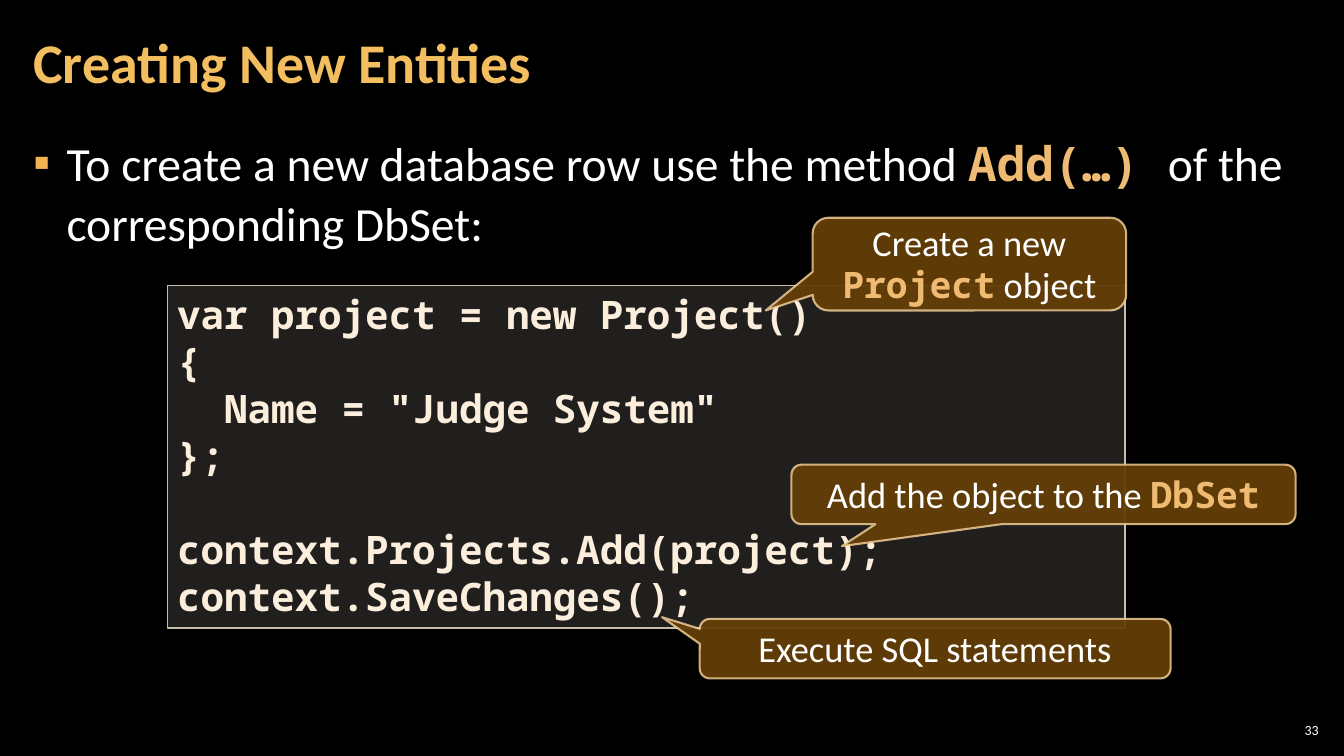
import pptx
import pptx.util
import pptx.dml.color
import pptx.enum.shapes
import pptx.enum.text
import pptx.oxml.ns
import lxml.etree

Inches, Pt = pptx.util.Inches, pptx.util.Pt
ALIGN = pptx.enum.text.PP_ALIGN
ANCHOR = pptx.enum.text.MSO_ANCHOR
SHAPES = pptx.enum.shapes.MSO_SHAPE
qn = pptx.oxml.ns.qn

COLORS = {
    "background": "000000", "text": "FFFFFF", "title": "F3BE60",
    "bullet": "F2B254", "keyword": "EFBB72", "code": "FBEEDC",
    "code_fill": "D9D5C7", "code_line": "C7BFAC",
    "callout_fill": "643F07", "callout_line": "F8D49E",
}
SANS, MONO = "Calibri", "Noto Sans Mono"
CODE_LINE_HEIGHT = 33.5  # points taken by one line of 28 pt code

CODE = [
    ["var project = new Project()", "{", '  Name = "Judge System"', "};"],
    ["context.Projects.Add(project);", "context.SaveChanges();"],
]
# Box, pointer tip as shares of the box, and (text, is keyword) parts
CALLOUTS = [
    ((6.94, 6.14, 4.67, 0.59), (-0.58, -0.53),
     [("Execute SQL statements", False)]),
    ((8.06, 2.16, 3.11, 0.92), (-0.65, 0.5),
     [("Create a new ", False), ("Project", True), (" object", False)]),
    ((7.85, 4.61, 5, 0.59), (-0.4, 0.87),
     [("Add the object to the ", False), ("DbSet", True)]),
]


def rgb(name):
    return pptx.dml.color.RGBColor.from_string(COLORS[name])


def place(shape, box):
    shape.left, shape.top, shape.width, shape.height = map(Inches, box)


def set_frame(shape, anchor, side=0.1, edge=0.05):
    frame = shape.text_frame
    frame.word_wrap = True
    frame.auto_size = pptx.enum.text.MSO_AUTO_SIZE.NONE
    frame.vertical_anchor = anchor
    frame.margin_left = frame.margin_right = Inches(side)
    frame.margin_top = frame.margin_bottom = Inches(edge)
    return frame


def add_run(paragraph, text, size, color="text", font=SANS, bold=False):
    run = paragraph.add_run()
    run.text = text
    run.font.size = Pt(size)
    run.font.name = font
    run.font.bold = bold
    run.font.color.rgb = rgb(color)


def add_mixed_runs(paragraph, parts, size):
    for text, is_keyword in parts:
        if is_keyword:
            add_run(paragraph, text, size, "keyword", MONO, True)
        else:
            add_run(paragraph, text, size)


def set_opacity(color_parent, percent):
    for color in color_parent.iter(qn("a:srgbClr")):
        alpha = lxml.etree.SubElement(color, qn("a:alpha"))
        alpha.set("val", str(percent * 1000))


def add_panel(slide, kind, box, style, line_width, fill_opacity, line_opacity):
    shape = slide.shapes.add_shape(kind, *map(Inches, box))
    shape.shadow.inherit = False
    shape.fill.solid()
    shape.fill.fore_color.rgb = rgb(style + "_fill")
    shape.line.color.rgb = rgb(style + "_line")
    shape.line.width = Pt(line_width)
    properties = shape.element.spPr
    set_opacity(properties.find(qn("a:solidFill")), fill_opacity)
    set_opacity(properties.find(qn("a:ln")), line_opacity)
    return shape


def fill_title(slide, box):
    title = slide.shapes.title
    place(title, box)
    paragraph = set_frame(title, ANCHOR.MIDDLE, 0.12, 0.04).paragraphs[0]
    paragraph.alignment = ALIGN.LEFT
    paragraph.line_spacing = 0.9
    add_run(paragraph, "Creating New Entities", 40, "title", bold=True)


def fill_body(slide, box):
    body = slide.placeholders[1]
    place(body, box)
    paragraph = set_frame(body, ANCHOR.TOP, 0.12, 0.04).paragraphs[0]
    paragraph.line_spacing = 1.05
    paragraph.space_before = paragraph.space_after = Pt(6)
    add_mixed_runs(paragraph, [
        ("To create a new database row use the method ", False),
        ("Add(…) ", True),
        ("of the corresponding DbSet:", False),
    ], 34)
    # Hanging square bullet
    properties = paragraph._p.get_or_add_pPr()
    properties.set("marL", str(Inches(0.33)))
    properties.set("indent", str(-Inches(0.33)))
    bullet_color = lxml.etree.SubElement(properties, qn("a:buClr"))
    lxml.etree.SubElement(bullet_color, qn("a:srgbClr")).set("val", COLORS["bullet"])
    lxml.etree.SubElement(properties, qn("a:buFont")).set("typeface", "Wingdings")
    properties[-1].set("typeface", SANS)
    lxml.etree.SubElement(properties, qn("a:buChar")).set("char", "▪")


def add_code(slide, box):
    panel = add_panel(slide, SHAPES.RECTANGLE, box, "code", 1, 15, 100)
    frame = set_frame(panel, ANCHOR.TOP)
    paragraph = frame.paragraphs[0]
    for block_number, block in enumerate(CODE):
        for line_number, line in enumerate(block):
            if block_number or line_number:
                paragraph = frame.add_paragraph()
            paragraph.alignment = ALIGN.LEFT
            # One line of space separates the blocks
            if block_number and not line_number:
                paragraph.space_before = Pt(CODE_LINE_HEIGHT)
            add_run(paragraph, line, 28, "code", MONO, True)


def add_callout(slide, box, tip, parts):
    callout = add_panel(slide, SHAPES.ROUNDED_RECTANGULAR_CALLOUT, box,
                        "callout", 1.5, 95, 80)
    callout.adjustments[0], callout.adjustments[1] = tip
    callout.adjustments[2] = 0.17
    paragraph = set_frame(callout, ANCHOR.MIDDLE).paragraphs[0]
    paragraph.alignment = ALIGN.CENTER
    paragraph.line_spacing = Pt(30)
    add_mixed_runs(paragraph, parts, 26)


def add_slide_number(slide, box):
    number = slide.shapes.add_textbox(*map(Inches, box))
    paragraph = set_frame(number, ANCHOR.MIDDLE, 0.04, 0.04).paragraphs[0]
    paragraph.alignment = ALIGN.RIGHT
    add_run(paragraph, "33", 10)


def main():
    presentation = pptx.Presentation()
    presentation.slide_width = Inches(13.33)
    presentation.slide_height = Inches(7.5)
    slide = presentation.slides.add_slide(presentation.slide_layouts[1])
    slide.background.fill.solid()
    slide.background.fill.fore_color.rgb = rgb("background")

    add_slide_number(slide, (12.65, 7.14, 0.47, 0.21))
    fill_body(slide, (0.21, 1.26, 12.91, 6.09))
    fill_title(slide, (0.21, 0.04, 10.47, 1.21))
    add_code(slide, (1.66, 2.83, 9.5, 3.4))
    for box, tip, parts in CALLOUTS:
        add_callout(slide, box, tip, parts)
    presentation.save("out.pptx")


if __name__ == "__main__":
    main()
